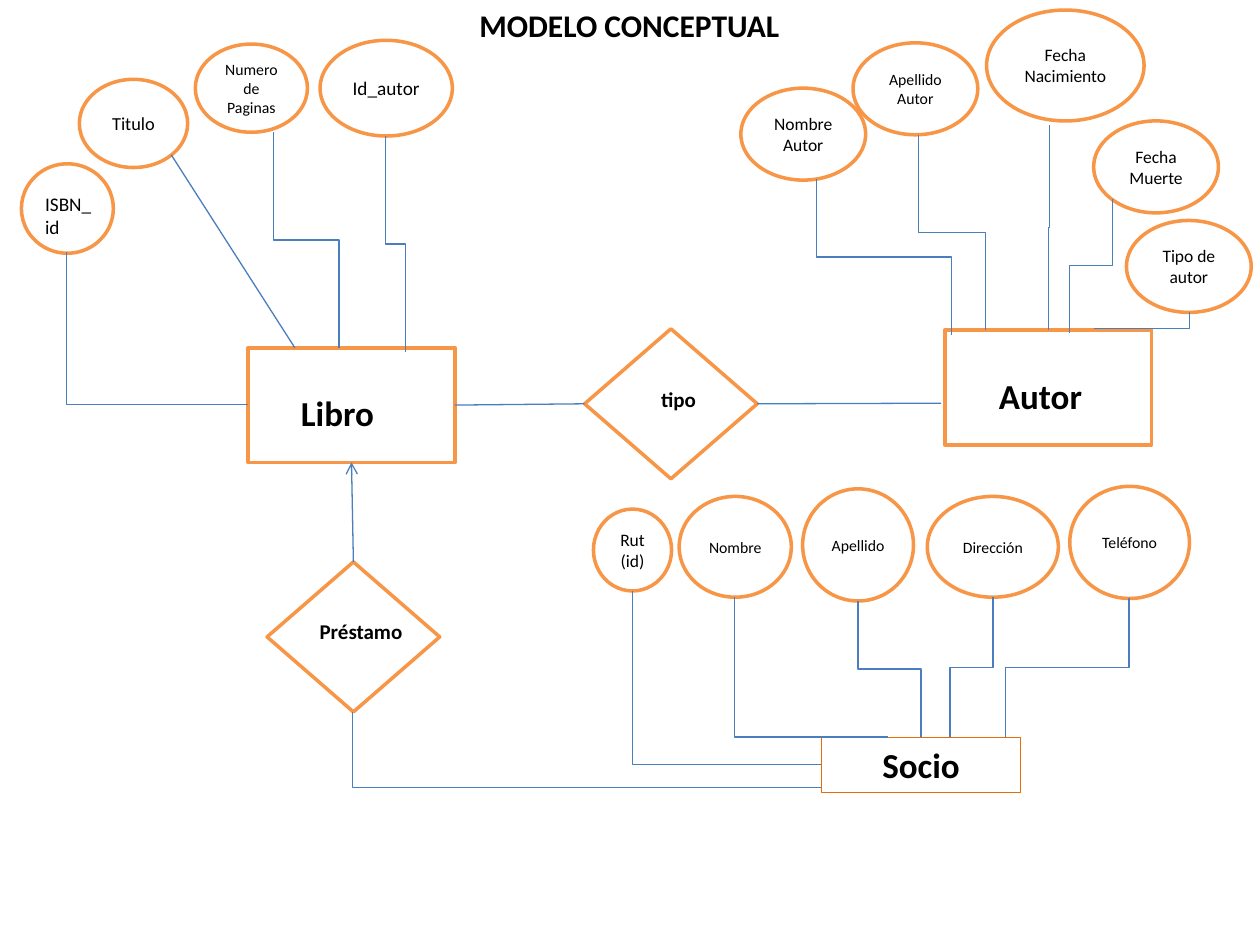
from lxml import etree
from pptx import Presentation
from pptx.dml.color import RGBColor
from pptx.enum.shapes import MSO_CONNECTOR, MSO_SHAPE
from pptx.enum.text import MSO_ANCHOR, PP_ALIGN
from pptx.oxml.ns import qn
from pptx.util import Inches, Pt

STRAIGHT, ELBOW = MSO_CONNECTOR.STRAIGHT, MSO_CONNECTOR.ELBOW
ELLIPSE, RECT = MSO_SHAPE.OVAL, MSO_SHAPE.RECTANGLE
PROCESS, DECISION = MSO_SHAPE.FLOWCHART_PROCESS, MSO_SHAPE.FLOWCHART_DECISION
LEFT, CENTER, MIDDLE = PP_ALIGN.LEFT, PP_ALIGN.CENTER, MSO_ANCHOR.MIDDLE
TOP_SIDE, LEFT_SIDE, BOTTOM_SIDE, RIGHT_SIDE = range(4)

THEME = {
    "font": "Calibri",
    "text": RGBColor(0x00, 0x00, 0x00),
    "fill": RGBColor(0xFF, 0xFF, 0xFF),
    "outline": RGBColor(0xF7, 0x96, 0x46),
    "socio": RGBColor(0xE4, 0x6C, 0x0A),
    "link": RGBColor(0x4B, 0x7E, 0xBC),
    "entity": 20, "title": 18, "relation": 12,
    "large": 11, "medium": 10.5, "normal": 10, "small": 9,
}


def write(shape, text, size, align=CENTER, bold=False):
    tf = shape.text_frame
    tf.word_wrap = True
    tf.text = text
    for p in tf.paragraphs:
        p.alignment = align
        for r in p.runs:
            r.font.name = THEME["font"]
            r.font.size = Pt(THEME[size])
            r.font.bold = bold
            r.font.color.rgb = THEME["text"]
    return tf


def link(kind, x1, y1, x2, y2):
    c = s.shapes.add_connector(kind, Inches(x1), Inches(y1), Inches(x2), Inches(y2))
    c.line.color.rgb = THEME["link"]
    c.line.width = Pt(0.75)
    etree.SubElement(c._element.spPr, qn("a:effectLst"))
    return c


prs = Presentation()
prs.slide_width, prs.slide_height = Inches(10), Inches(7.5)
s = prs.slides.add_slide(prs.slide_layouts[6])

nodes = {}
for name, kind, x, y, w, h in [
    ("Libro", PROCESS, 1.97, 2.76, 1.64, 0.91),
    ("Autor", PROCESS, 7.5, 2.62, 1.64, 0.91),
    ("Préstamo", DECISION, 2.12, 4.46, 1.37, 1.19),
    ("tipo", DECISION, 4.64, 2.61, 1.37, 1.19),
    ("Socio", RECT, 6.52, 5.85, 1.58, 0.44),
    ("ISBN_id", ELLIPSE, 0.17, 1.3, 0.73, 0.71),
]:
    sp = s.shapes.add_shape(kind, Inches(x), Inches(y), Inches(w), Inches(h))
    sp.shadow.inherit = False
    sp.fill.solid()
    sp.fill.fore_color.rgb = THEME["fill"]
    sp.line.color.rgb = THEME["outline"]
    sp.line.width = Pt(2)
    nodes[name] = sp

socio = nodes["Socio"]
socio.fill.background()
socio.line.color.rgb = THEME["socio"]
socio.line.width = Pt(0.25)
write(socio, "Socio", "entity", bold=True)

for text, size, x, y, w, h in [
    ("Titulo", "medium", 0.63, 0.63, 0.86, 0.7),
    ("Numero de Paginas", "small", 1.55, 0.35, 0.89, 0.7),
    ("Nombre Autor", "normal", 5.88, 0.7, 0.99, 0.73),
    ("Id_autor", "large", 2.54, 0.32, 1.05, 0.76),
    ("Apellido Autor", "small", 6.77, 0.34, 0.99, 0.73),
    ("Fecha\nNacimiento", "normal", 7.83, 0.08, 1.25, 0.88),
    ("Fecha Muerte", "normal", 8.68, 0.96, 0.99, 0.73),
    ("Tipo de autor", "normal", 8.94, 1.75, 0.99, 0.73),
    ("Nombre", "small", 5.39, 3.94, 0.89, 0.8),
    ("Rut (id)", "normal", 4.71, 4.04, 0.62, 0.65),
    ("Apellido", "small", 6.37, 3.88, 0.88, 0.89),
    ("Dirección", "small", 7.36, 3.94, 1.04, 0.8),
    ("Teléfono", "small", 8.49, 3.86, 0.95, 0.89),
]:
    sp = s.shapes.add_shape(ELLIPSE, Inches(x), Inches(y), Inches(w), Inches(h))
    sp.shadow.inherit = False
    sp.fill.solid()
    sp.fill.fore_color.rgb = THEME["fill"]
    sp.line.color.rgb = THEME["outline"]
    sp.line.width = Pt(2)
    tf = write(sp, text, size)
    tf.vertical_anchor = MIDDLE
    tf.margin_left = tf.margin_right = Inches(0.08)

for text, size, align, bold, x, y, w, h in [
    ("MODELO CONCEPTUAL", "title", CENTER, True, 3.47, 0, 3.05, 0.4),
    ("Libro", "entity", LEFT, True, 2.29, 3.06, 0.96, 0.44),
    ("Autor", "entity", LEFT, True, 7.83, 2.92, 0.96, 0.44),
    ("Préstamo", "relation", CENTER, True, 2.42, 4.86, 0.89, 0.3),
    ("tipo", "relation", CENTER, True, 4.94, 3.02, 0.89, 0.3),
    ("ISBN_id", "large", LEFT, False, 0.26, 1.48, 0.57, 0.47),
]:
    box = s.shapes.add_textbox(Inches(x), Inches(y), Inches(w), Inches(h))
    write(box, text, size, align, bold)

for x1, y1, x2, y2 in [
    (2.17, 1.05, 2.69, 2.76),
    (3.06, 1.08, 3.22, 2.79),
    (6.48, 1.42, 7.55, 2.66),
    (7.29, 1.07, 7.82, 2.62),
    (8.33, 0.99, 8.32, 2.62),
    (8.83, 1.58, 8.49, 2.64),
    (8.96, 4.75, 7.98, 5.85),
    (7.88, 4.74, 7.54, 5.85),
    (6.81, 4.77, 7.31, 5.85),
]:
    cx, cy = (x1 + x2) / 2, (y1 + y2) / 2
    dx, dy = (x2 - x1) / 2, (y2 - y1) / 2
    c = link(ELBOW, cx - dy, cy + dx, cx + dy, cy - dx)
    c._element.spPr.find(qn("a:xfrm")).set("rot", "5400000")

for corner in [
    (1.97, 3.21, 0.53, 2),
    (7.05, 5.85, 5.83, 4.74),
    (6.52, 6.07, 5.02, 4.69),
    (6.52, 6.25, 2.8, 5.65),
    (8.68, 2.61, 9.44, 2.48),
]:
    c = link(ELBOW, *corner)
    c._element.spPr.find(qn("a:prstGeom")).set("prst", "bentConnector2")

link(STRAIGHT, 2.34, 2.76, 1.36, 1.23)

c = link(STRAIGHT, 3.61, 3.21, 4.64, 3.21)
c.begin_connect(nodes["Libro"], RIGHT_SIDE)
c.end_connect(nodes["tipo"], LEFT_SIDE)

c = link(STRAIGHT, 6.01, 3.2, 7.47, 3.2)
c.begin_connect(nodes["tipo"], RIGHT_SIDE)

c = link(STRAIGHT, 2.8, 4.46, 2.79, 3.67)
c.begin_connect(nodes["Préstamo"], TOP_SIDE)
c.end_connect(nodes["Libro"], BOTTOM_SIDE)
etree.SubElement(c.line._get_or_add_ln(), qn("a:tailEnd"), type="arrow")

prs.save("out.pptx")
